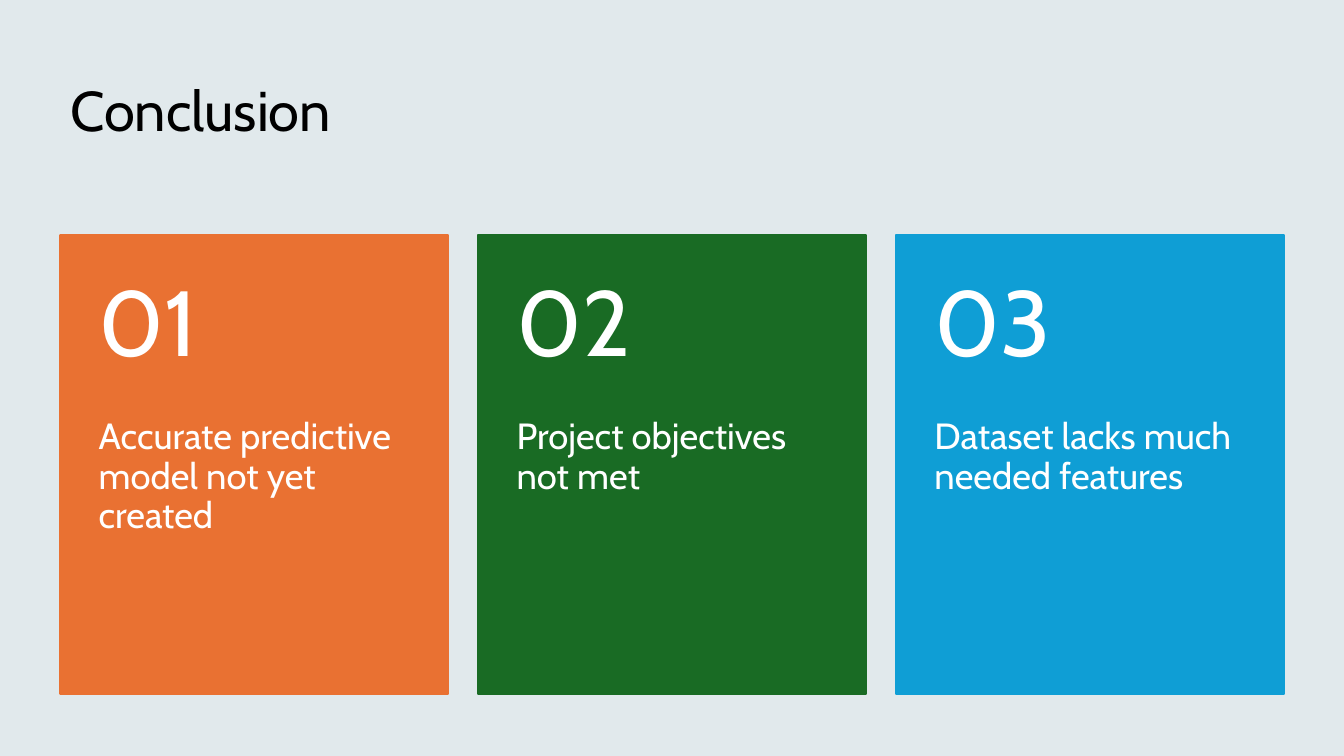
from lxml import etree
from pptx import Presentation
from pptx import util as u
from pptx.dml.color import RGBColor
from pptx.enum import shapes, text
from pptx.oxml.ns import qn

Pt = u.Pt
WIDE, HIGH = 960, 540
HUES = {
    "base": "F2F2F2", "wash": "0B76A0", "ink": "000000", "white": "FFFFFF",
    "orange": "E97132", "green": "196B24", "blue": "0F9ED5",
}
CARDS = [
    ("orange", "Accurate predictive model not yet created"),
    ("green", "Project objectives not met"),
    ("blue", "Dataset lacks much needed features"),
]


class Deck:
    font = "Cabin"

    def __init__(self):
        self.prs = Presentation()
        self.prs.slide_width, self.prs.slide_height = Pt(WIDE), Pt(HIGH)
        self.slide = self.prs.slides.add_slide(self.prs.slide_layouts[6])

    def hue(self, name):
        return RGBColor.from_string(HUES[name])

    def rect(self, box, hue, line=0, alpha=100):
        """Draw a plain rectangle; alpha is its opacity in percent."""
        form = self.slide.shapes.add_shape(
            shapes.MSO_SHAPE.RECTANGLE, *map(Pt, box))
        form.shadow.inherit = False
        form.fill.solid()
        form.fill.fore_color.rgb = self.hue(hue)
        if line:
            form.line.color.rgb = self.hue(hue)
            form.line.width = Pt(line)
        else:
            form.line.fill.background()
        if alpha < 100:
            tint = form.fill._xPr.find(qn("a:solidFill"))[0]
            etree.SubElement(tint, qn("a:alpha"), val=str(alpha * 1000))

    def label(self, box, words, size, hue, pads=(7.2, 3.6, 7.2, 3.6),
              mid=True):
        """Write one paragraph; pads are left, top, right and bottom."""
        frame = self.slide.shapes.add_textbox(*map(Pt, box)).text_frame
        frame.word_wrap = True
        frame.auto_size = text.MSO_AUTO_SIZE.NONE
        frame.margin_left, frame.margin_top = Pt(pads[0]), Pt(pads[1])
        frame.margin_right, frame.margin_bottom = Pt(pads[2]), Pt(pads[3])
        anchor = text.MSO_ANCHOR
        frame.vertical_anchor = anchor.MIDDLE if mid else anchor.TOP
        para = frame.paragraphs[0]
        para.line_spacing = 0.9
        run = para.add_run()
        run.text = words
        run.font.name = self.font
        run.font.size = Pt(size)
        run.font.color.rgb = self.hue(hue)

    def card(self, left, num, hue, words):
        top, wide, head, body = 167.6, 276.7, 131.2, 196.7
        self.rect((left, top, wide, head + body), hue, line=1.5)
        self.label((left, top + head, wide, body), words, 26, "white",
                   (27.3, 0, 27.3, 26), mid=False)
        self.label((left, top, wide, head), f"{num:02}", 66, "white",
                   (27.3, 13, 27.3, 13))


def main():
    deck = Deck()
    page = (0, 0, WIDE, HIGH)
    deck.rect(page, "base")
    deck.rect(page, "wash", alpha=7)

    left, step = 43.2, 298.5
    deck.label((left, 28.8, 873.4, 104.4), "Conclusion", 40, "ink")
    for i, (hue, words) in enumerate(CARDS):
        deck.card(left + i * step, i + 1, hue, words)
    deck.prs.save("out.pptx")


if __name__ == "__main__":
    main()
